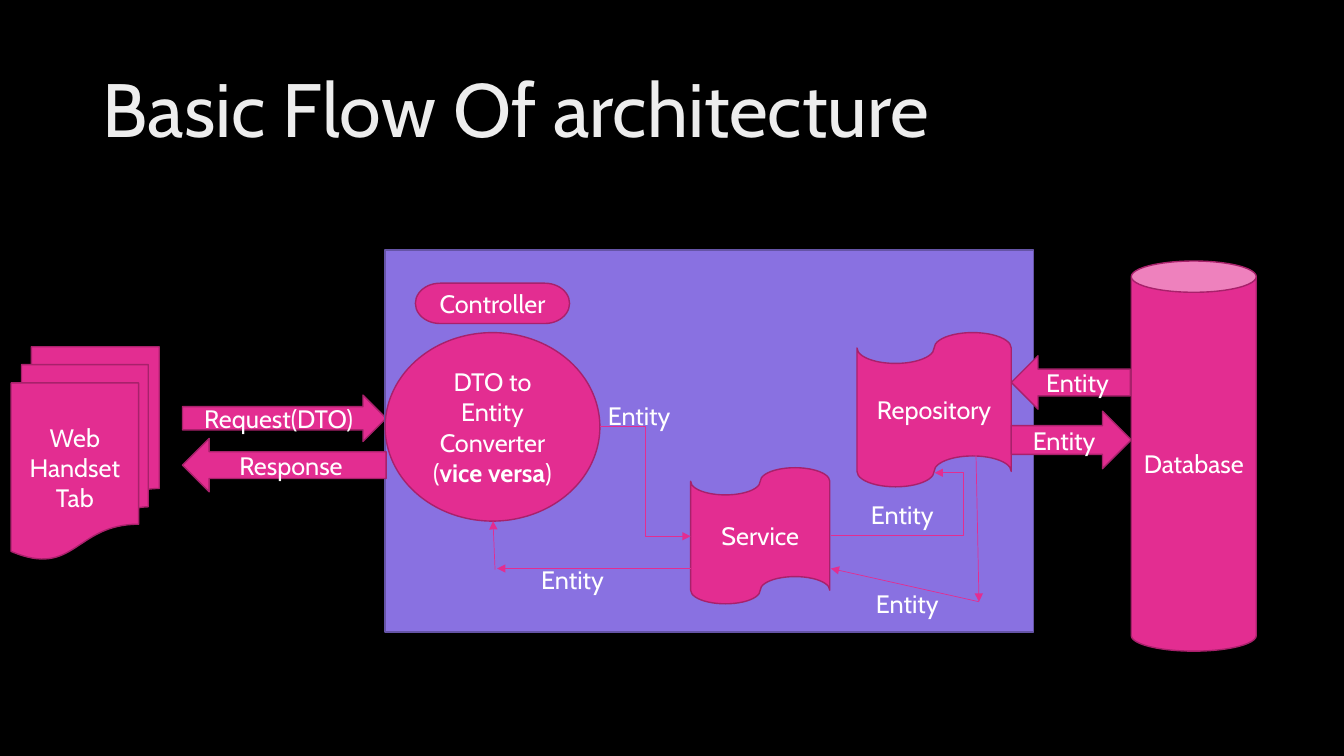
from lxml import etree
from pptx import Presentation
from pptx.dml.color import RGBColor
from pptx.enum.shapes import MSO_CONNECTOR as LINK, MSO_SHAPE as FORM
from pptx.enum.text import MSO_ANCHOR, MSO_AUTO_SIZE, PP_ALIGN
from pptx.oxml.ns import qn
from pptx.util import Inches, Pt

BLACK = RGBColor(0x00, 0x00, 0x00)
WHITE = RGBColor(0xFF, 0xFF, 0xFF)
PALE = RGBColor(0xED, 0xED, 0xED)
PINK = RGBColor(0xE3, 0x2D, 0x91)
DARK_PINK = RGBColor(0xA8, 0x21, 0x6B)
VIOLET = RGBColor(0x89, 0x71, 0xE1)
DARK_VIOLET = RGBColor(0x65, 0x54, 0xA6)


class FlowSlide:
    font_name = "Cabin"
    body_size = 18

    def __init__(self, deck):
        self.slide = deck.slides.add_slide(deck.slide_layouts[5])
        self.slide.background.fill.solid()
        self.slide.background.fill.fore_color.rgb = BLACK

    def style(self, paragraph, size, color):
        for run in paragraph.runs:
            run.font.name = self.font_name
            run.font.size = Pt(size)
            run.font.color.rgb = color

    def title(self, text, box):
        heading = self.slide.shapes.title
        heading.left, heading.top, heading.width, heading.height = map(Inches, box)
        frame = heading.text_frame
        frame.text = text
        frame.auto_size = MSO_AUTO_SIZE.NONE
        frame.vertical_anchor = MSO_ANCHOR.MIDDLE
        paragraph = frame.paragraphs[0]
        paragraph.alignment = PP_ALIGN.LEFT
        paragraph.line_spacing = 0.9
        self.style(paragraph, 54, PALE)

    def block(self, form, box, text="", fill=PINK, edge=DARK_PINK, bold_part=None):
        part = self.slide.shapes.add_shape(form, *map(Inches, box))
        part.shadow.inherit = False
        part.fill.solid()
        part.fill.fore_color.rgb = fill
        part.line.color.rgb = edge
        part.line.width = Pt(1)
        frame = part.text_frame
        frame.text = text
        frame.word_wrap = True
        frame.vertical_anchor = MSO_ANCHOR.MIDDLE
        if bold_part:
            closing = frame.add_paragraph()
            for piece in ("(", bold_part, ")"):
                run = closing.add_run()
                run.text = piece
                run.font.bold = piece == bold_part
        for paragraph in frame.paragraphs:
            paragraph.alignment = PP_ALIGN.CENTER
            self.style(paragraph, self.body_size, WHITE)

    def label(self, text, left, top):
        caption = self.slide.shapes.add_textbox(
            Inches(left), Inches(top), Inches(0.87), Inches(0.4))
        frame = caption.text_frame
        frame.text = text
        frame.word_wrap = True
        frame.auto_size = MSO_AUTO_SIZE.SHAPE_TO_FIT_TEXT
        self.style(frame.paragraphs[0], self.body_size, WHITE)

    def arrow(self, start, end, kind=LINK.STRAIGHT, bend=None):
        link = self.slide.shapes.add_connector(kind, *map(Inches, start + end))
        link.line.color.rgb = PINK
        link.line.width = Pt(0.5)
        properties = link._element.spPr
        etree.SubElement(link.line._get_or_add_ln(), qn("a:tailEnd"), type="triangle")
        etree.SubElement(properties, qn("a:effectLst"))
        if bend is not None:
            guides = properties.find(qn("a:prstGeom")).get_or_add_avLst()
            etree.SubElement(guides, qn("a:gd"), name="adj1",
                             fmla=f"val {round(bend * 100000)}")


deck = Presentation()
deck.slide_width, deck.slide_height = Inches(13.33), Inches(7.5)

flow = FlowSlide(deck)
flow.title("Basic Flow Of architecture", (0.92, 0.4, 11.5, 1.45))

flow.block(FORM.RIGHT_ARROW, (1.81, 3.92, 2.02, 0.46), "Request(DTO)")
flow.block(FORM.RECTANGLE, (3.82, 2.48, 6.43, 3.79), fill=VIOLET, edge=DARK_VIOLET)
flow.block(FORM.CAN, (11.22, 2.59, 1.24, 3.87), "Database")
flow.block(FORM.OVAL, (3.82, 3.3, 2.13, 1.87), "DTO to Entity Converter",
           bold_part="vice versa")
flow.block(FORM.FLOWCHART_PUNCHED_TAPE, (6.85, 4.64, 1.38, 1.35), "Service")
flow.block(FORM.FLOWCHART_PUNCHED_TAPE, (8.5, 3.3, 1.53, 1.53), "Repository")
flow.block(FORM.FLOWCHART_TERMINATOR, (4.12, 2.81, 1.53, 0.4), "Controller")
flow.block(FORM.LEFT_ARROW, (10.03, 3.53, 1.18, 0.53), "Entity")
flow.block(FORM.RIGHT_ARROW, (10.03, 4.08, 1.19, 0.57), "Entity")
flow.block(FORM.LEFT_ARROW, (1.81, 4.35, 2.02, 0.53), "Response")
flow.block(FORM.FLOWCHART_MULTIDOCUMENT, (0.11, 3.44, 1.47, 2.11), "Web\nHandset\nTab")

flow.arrow((5.95, 4.23), (6.85, 5.32), LINK.ELBOW)
flow.arrow((8.24, 5.31), (9.27, 4.69), LINK.ELBOW, bend=1.28)
for start, end in (
    ((9.68, 4.5), (9.71, 5.97)),
    ((9.71, 5.97), (8.24, 5.64)),
    ((6.85, 5.64), (4.93, 5.64)),
    ((4.91, 5.65), (4.89, 5.17)),
):
    flow.arrow(start, end)

for left, top in ((5.93, 3.92), (8.54, 4.9), (8.59, 5.79), (5.27, 5.55)):
    flow.label("Entity", left, top)

deck.save("out.pptx")
